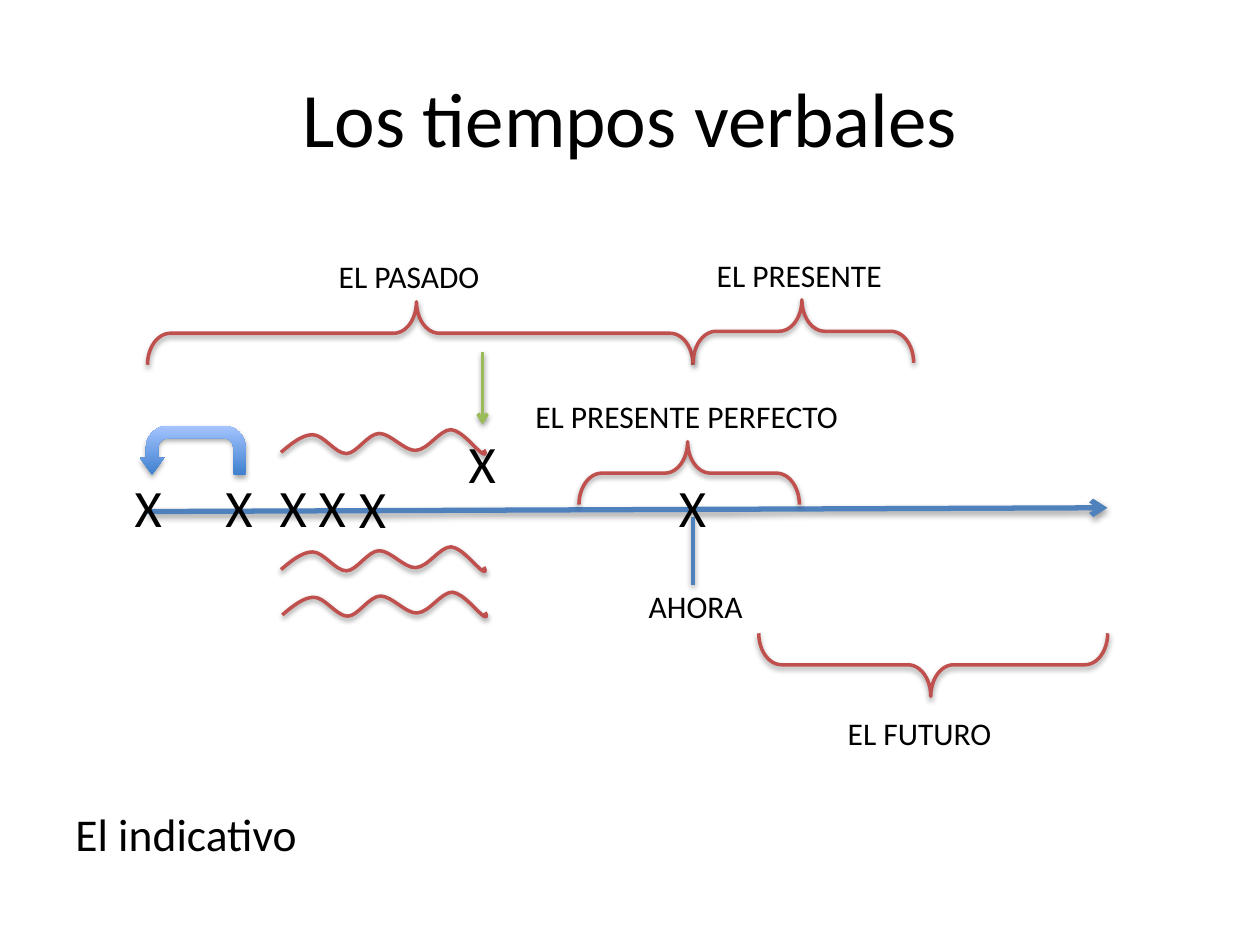
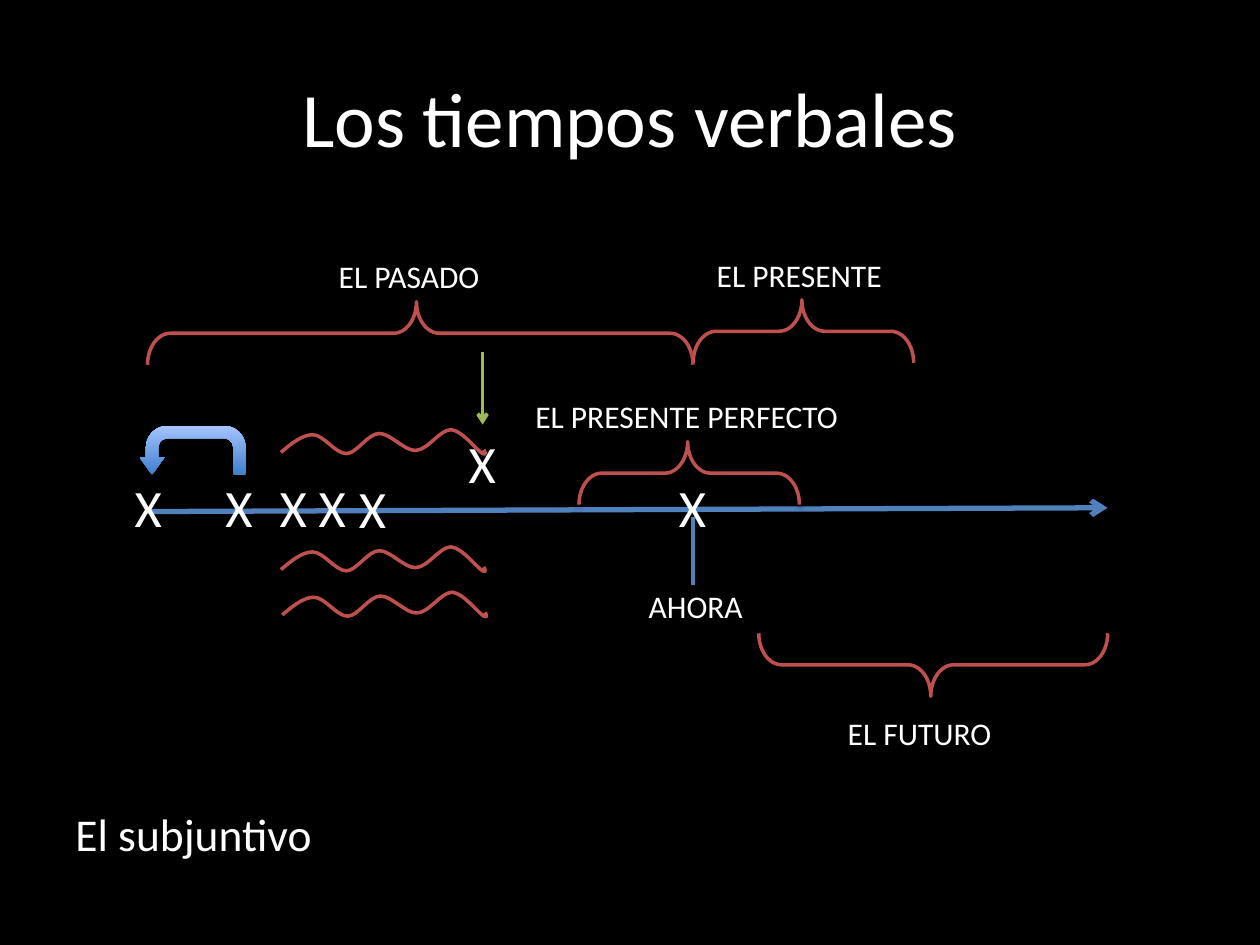
from lxml.etree import SubElement
from pptx import Presentation
from pptx.dml.color import RGBColor
from pptx.enum.shapes import MSO_CONNECTOR, MSO_SHAPE
from pptx.enum.text import MSO_ANCHOR, MSO_AUTO_SIZE, PP_ALIGN
from pptx.oxml.ns import qn
from pptx.util import Pt

COLORS = {
    "white": "FFFFFF", "black": "000000",
    "blue": "4F81BD", "red": "C0504D", "green": "9BBB59",
    "arrow_dark": "3F80CE", "arrow_light": "A4C4FF",
}
FONT = "Calibri"

# Wave outline, relative to its left top corner: start, then Bezier segments
WAVE_START = (0, 13)
WAVE_CURVES = [
    ((5.8, 8), (12.2, 2.9), (18, 2.9)),
    ((24.5, 2.9), (31, 13.7), (37.4, 13.7)),
    ((43.2, 13.7), (49.7, 2.2), (56.2, 2.2)),
    ((62.6, 2.2), (70.6, 12.2), (77, 11.9)),
    ((84.2, 11.5), (90.7, 0), (97.2, 0)),
    ((103.7, 0.7), (111.6, 11.5), (115.2, 13.7)),
    ((118.1, 15.1), (115.9, 11.5), (115.9, 11.5)),
]


def color(name):
    return RGBColor.from_string(COLORS[name])


class TimelinePage:
    """One slide with its background and text colour."""

    def __init__(self, deck, background, ink):
        self.page = deck.slides.add_slide(deck.slide_layouts[6])
        self.ink = ink
        fill = self.page.background.fill
        fill.solid()
        fill.fore_color.rgb = color(background)

    def text(self, words, left, top, width, height, size, wrap=True):
        box = self.page.shapes.add_textbox(Pt(left), Pt(top), Pt(width), Pt(height))
        frame = box.text_frame
        frame.text = words
        frame.word_wrap = wrap
        frame.auto_size = MSO_AUTO_SIZE.SHAPE_TO_FIT_TEXT
        font = frame.paragraphs[0].runs[0].font
        font.name, font.size = FONT, Pt(size)
        font.color.rgb = color(self.ink)
        return frame

    def title(self, words):
        frame = self.text(words, 36, 21.6, 648, 90, 44)
        frame.auto_size = MSO_AUTO_SIZE.NONE
        frame.vertical_anchor = MSO_ANCHOR.MIDDLE
        frame.paragraphs[0].alignment = PP_ALIGN.CENTER

    def label(self, words, left, top, width=131.76):
        self.text(words, left, top, width, 28.8, 18)

    def cross(self, left, top=267.84):
        self.text("X", left, top, 30.24, 43.92, 30, wrap=False)

    def shadow(self, shape, opacity=38, distance=1.6):
        effects = SubElement(shape.element.spPr, qn("a:effectLst"))
        outer = SubElement(effects, qn("a:outerShdw"), blurRad=str(Pt(3.1)),
                           dist=str(Pt(distance)), dir="5400000", rotWithShape="0")
        tint = SubElement(outer, qn("a:srgbClr"), val=COLORS["black"])
        SubElement(tint, qn("a:alpha"), val=str(opacity * 1000))

    def outline(self, shape, name, width=2):
        shape.line.color.rgb = color(name)
        shape.line.width = Pt(width)

    def line(self, start, end, name, width=2, arrow=False):
        connector = self.page.shapes.add_connector(
            MSO_CONNECTOR.STRAIGHT, *(Pt(value) for value in start + end))
        self.outline(connector, name, width)
        if arrow:
            SubElement(connector.element.spPr.find(qn("a:ln")), qn("a:tailEnd"), type="arrow")
        self.shadow(connector)

    def brace(self, left, top, width, down=False):
        """A horizontal brace: an upright one, 36 wide, turned about its centre."""
        depth = 36
        shape = self.page.shapes.add_shape(
            MSO_SHAPE.RIGHT_BRACE, Pt(left + (width - depth) / 2),
            Pt(top + (depth - width) / 2), Pt(depth), Pt(width))
        shape.rotation = 90 if down else 270
        if down:
            shape.element.spPr.xfrm.set("flipV", "1")
        shape.adjustments[0], shape.adjustments[1] = 0.363, 0.493
        shape.fill.background()
        self.outline(shape, "red")
        self.shadow(shape)

    def wave(self, left, top):
        # Drawing units are hundredths of a point
        anchors = [((left + x) * 100, (top + y) * 100)
                   for x, y in [WAVE_START] + [curve[-1] for curve in WAVE_CURVES]]
        builder = self.page.shapes.build_freeform(*anchors[0], scale=Pt(1) / 100)
        builder.add_line_segments(anchors[1:], close=False)
        shape = builder.convert_to_shape()
        # Bend each straight segment with its two control points
        segments = list(shape.element.iter(qn("a:lnTo")))
        for segment, curve in zip(segments, WAVE_CURVES):
            bend = SubElement(segment.getparent(), qn("a:cubicBezTo"))
            for x, y in curve:
                SubElement(bend, qn("a:pt"), x=str(round(x * 100)), y=str(round(y * 100)))
            segment.getparent().replace(segment, bend)
        shape.fill.background()
        self.outline(shape, "red")
        self.shadow(shape)

    def back_arrow(self, left, top, width, height):
        shape = self.page.shapes.add_shape(
            MSO_SHAPE.U_TURN_ARROW, Pt(left), Pt(top), Pt(width), Pt(height))
        shape.element.spPr.xfrm.set("flipH", "1")
        for index, value in enumerate((0.25, 0.25, 0.357, 0.438, 1)):
            shape.adjustments[index] = value
        shape.fill.gradient()
        shape.fill.gradient_angle = 90
        for stop, name in zip(shape.fill.gradient_stops, ("arrow_dark", "arrow_light")):
            stop.color.rgb = color(name)
        shape.line.fill.background()
        self.shadow(shape, 35, 1.8)


def build_timeline(deck, mood, background, ink):
    page = TimelinePage(deck, background, ink)
    page.title("Los tiempos verbales")

    # Time axis and the present moment
    page.line((84.24, 292.32), (632.88, 290.16), "blue", 3, arrow=True)
    page.cross(380.88)
    page.line((396, 295.2), (396, 334.08), "blue")
    page.label("AHORA", 363.6, 331.92, 77.76)

    # The past, with an action before another
    page.brace(84.3, 172.44, 311.76)
    page.label("EL PASADO", 186.48, 143.28)
    page.cross(121.68)
    page.cross(69.84)
    page.back_arrow(79.92, 243.36, 60.48, 28.08)

    # Interrupted, repeated and lasting actions
    page.wave(160.56, 245.52)
    page.cross(260.64, 242.64)
    page.line((275.76, 200.88), (275.76, 242.64), "green", arrow=True)
    page.cross(152.64)
    page.cross(174.96)
    page.cross(198, 268.56)
    page.wave(160.56, 312.48)
    page.wave(161.28, 338.4)

    # Present perfect, present and future
    page.brace(330.84, 252.36, 126)
    page.label("EL PRESENTE PERFECTO", 298.8, 223.2, 198)
    page.brace(396.1, 171.3, 126)
    page.label("EL PRESENTE", 402.48, 142.56)
    page.brace(433.6, 361.9, 199.44, down=True)
    page.label("EL FUTURO", 477.36, 404.64)

    # Mood
    page.text(mood, 36, 457.2, 177.12, 38.88, 26)


deck = Presentation()
deck.slide_width, deck.slide_height = Pt(720), Pt(540)
build_timeline(deck, "El indicativo", "white", "black")
build_timeline(deck, "El subjuntivo", "black", "white")
deck.save("out.pptx")
